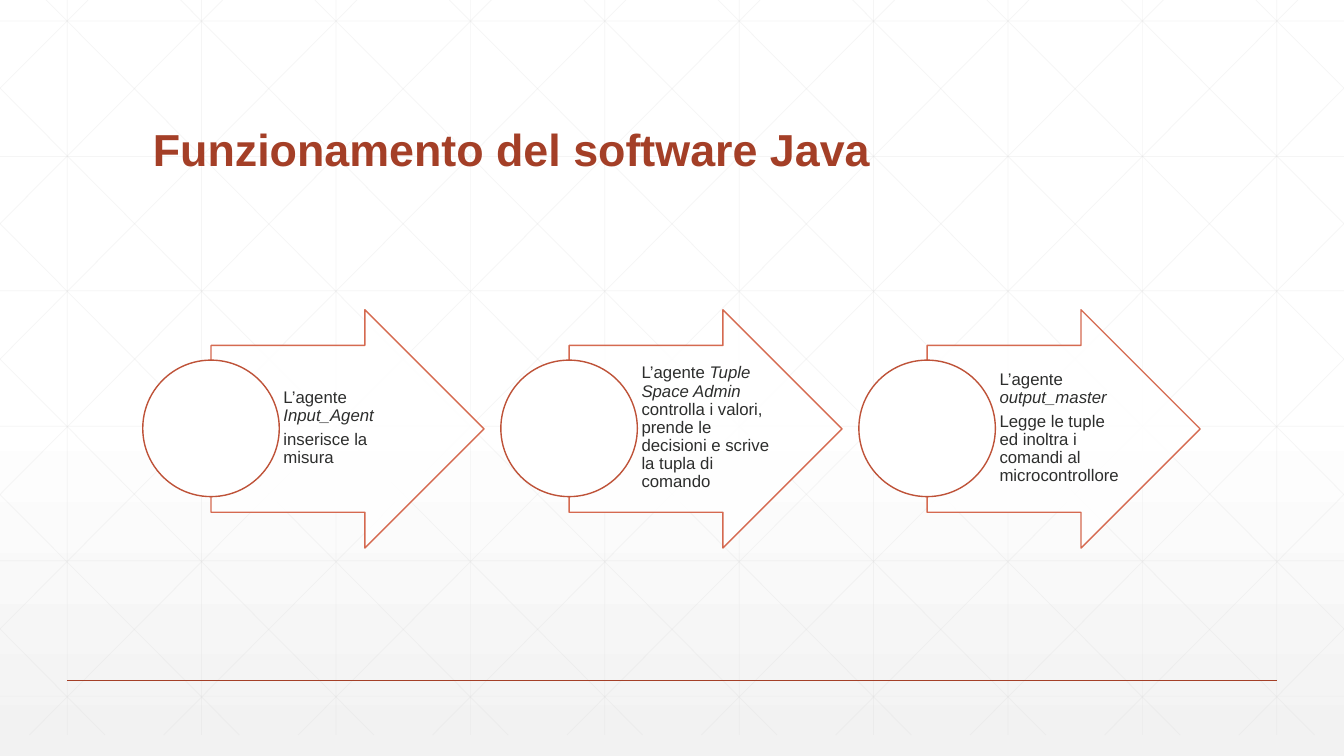
from dataclasses import dataclass

from pptx import Presentation
from pptx.dml.color import RGBColor
from pptx.enum.shapes import MSO_CONNECTOR, MSO_SHAPE
from pptx.enum.text import MSO_ANCHOR, PP_ALIGN
from pptx.oxml.ns import qn
from pptx.util import Pt
from lxml.etree import SubElement

PX = 9525  # EMU per px, at 96 px to the inch
WIDTH, HEIGHT = 1280, 720

WHITE = RGBColor(0xFF, 0xFF, 0xFF)
PALE_GREY = RGBColor(0xF2, 0xF2, 0xF2)
GRID_GREY = RGBColor(0xD9, 0xD9, 0xD9)
BRICK = RGBColor(0xA4, 0x3F, 0x27)
ARROW_RED = RGBColor(0xD1, 0x5A, 0x3E)
CIRCLE_RED = RGBColor(0xBE, 0x52, 0x38)
INK = RGBColor(0x2D, 0x2E, 0x2D)

GRID_PITCH = 128
GRID_BOTTOM = 700
DIAGONAL_RUN = 696  # horizontal travel of a diagonal from top to GRID_BOTTOM
STEP_LEFT, STEP_PITCH = 136, 341


@dataclass(frozen=True)
class Box:
    left: int
    top: int
    width: int
    height: int

    def emu(self) -> tuple:
        return tuple(v * PX for v in (self.left, self.top, self.width, self.height))


@dataclass(frozen=True)
class Span:
    text: str
    italic: bool = False


@dataclass(frozen=True)
class Step:
    paragraphs: tuple


STEPS = (
    Step(((Span("L’agente "), Span("Input_Agent", True)),
          (Span("inserisce la\nmisura"),))),
    Step(((Span("L’agente "), Span("Tuple Space Admin\n", True),
           Span("controlla i valori, prende le decisioni e scrive la tupla di comando")),)),
    Step(((Span("L’agente "), Span("output_master", True)),
          (Span("Legge le tuple ed inoltra i comandi al microcontrollore"),))),
)


def set_alpha(fill, percent: int) -> None:
    """Make a solid fill or line colour partly transparent."""
    if percent < 100:
        properties = fill._xPr
        color = next(properties.iter(qn("a:srgbClr")))
        SubElement(color, qn("a:alpha")).set("val", str(percent * 1000))


def write_text(frame, paragraphs: tuple, *, size: int, color: RGBColor,
               bold: bool = False, anchor=MSO_ANCHOR.MIDDLE, space_after: float = 0) -> None:
    frame.word_wrap = True
    frame.vertical_anchor = anchor
    for index, spans in enumerate(paragraphs):
        paragraph = frame.paragraphs[0] if index == 0 else frame.add_paragraph()
        paragraph.alignment = PP_ALIGN.LEFT
        paragraph.line_spacing = 0.9
        paragraph.space_after = Pt(space_after)
        for span in spans:
            for row, words in enumerate(span.text.split("\n")):
                if row:
                    paragraph.add_line_break()
                if words:
                    run = paragraph.add_run()
                    run.text = words
                    run.font.name, run.font.size = "Arial", Pt(size)
                    run.font.bold, run.font.italic = bold, span.italic
                    run.font.color.rgb = color


def add_line(shapes, start: tuple, end: tuple, color: RGBColor,
             weight: float, alpha: int = 100) -> None:
    line = shapes.add_connector(MSO_CONNECTOR.STRAIGHT,
                                *(round(v) * PX for v in (*start, *end)))
    line.line.color.rgb = color
    line.line.width = Pt(weight)
    set_alpha(line.line.fill, alpha)
    SubElement(line.element.spPr, qn("a:effectLst"))


def add_outlined(shapes, preset, box: Box, outline: RGBColor, alpha: int = 100):
    shape = shapes.add_shape(preset, *box.emu())
    shape.shadow.inherit = False
    shape.fill.solid()
    shape.fill.fore_color.rgb = WHITE
    set_alpha(shape.fill, alpha)
    shape.line.color.rgb = outline
    shape.line.width = Pt(1)
    set_alpha(shape.line.fill, alpha)
    return shape


def grid_lines() -> list:
    """Start and end points of the background lattice, clipped to the slide."""
    lines = [((x, 0), (x, GRID_BOTTOM)) for x in range(64, WIDTH, GRID_PITCH)]
    lines += [((0, y), (WIDTH, y)) for y in (20 + 128.6 * row for row in range(6))]
    slope = GRID_BOTTOM / DIAGONAL_RUN
    for column in range(-5, 10):
        top_x = 44 + GRID_PITCH * column
        left, right = max(top_x, 0), min(top_x + DIAGONAL_RUN, WIDTH)
        start = (left, (left - top_x) * slope)
        end = (right, (right - top_x) * slope)
        lines.append((start, end))
        lines.append(((WIDTH - start[0], start[1]), (WIDTH - end[0], end[1])))
    return lines


def add_step(shapes, step: Step, left: int) -> None:
    arrow = add_outlined(shapes, MSO_SHAPE.RIGHT_ARROW,
                         Box(left + 65, 295, 260, 227), ARROW_RED, alpha=90)
    arrow.adjustments[0], arrow.adjustments[1] = 0.7, 0.5
    frame = shapes.add_textbox(*Box(left + 131, 328, 127, 159).emu()).text_frame
    frame.margin_left, frame.margin_right = 3 * PX, 2 * PX
    frame.margin_top = frame.margin_bottom = PX
    write_text(frame, step.paragraphs, size=12, color=INK, space_after=4.2)
    add_outlined(shapes, MSO_SHAPE.OVAL, Box(left, 343, 130, 130), CIRCLE_RED)


def main() -> None:
    deck = Presentation()
    deck.slide_width, deck.slide_height = WIDTH * PX, HEIGHT * PX
    slide = deck.slides.add_slide(deck.slide_layouts[5])

    backdrop = slide.background.fill
    backdrop.gradient()
    backdrop.gradient_angle = 270
    for stop, color, position in zip(backdrop.gradient_stops, (WHITE, PALE_GREY), (0.53, 1)):
        stop.color.rgb = color
        stop.position = position

    grid = slide.shapes.add_group_shape()
    for start, end in grid_lines():
        add_line(grid.shapes, start, end, GRID_GREY, 0.5, alpha=25)
    add_line(slide.shapes, (64, 648), (1216, 648), BRICK, 1)

    title = slide.shapes.title
    title.left, title.top, title.width, title.height = Box(136, 53, 1008, 120).emu()
    write_text(title.text_frame, ((Span("Funzionamento del software Java"),),),
               size=32, color=BRICK, bold=True, anchor=MSO_ANCHOR.BOTTOM)
    slide.shapes.element.append(title.element)  # bring in front of the grid

    for index, step in enumerate(STEPS):
        add_step(slide.shapes, step, STEP_LEFT + STEP_PITCH * index)

    deck.save("out.pptx")


if __name__ == "__main__":
    main()
